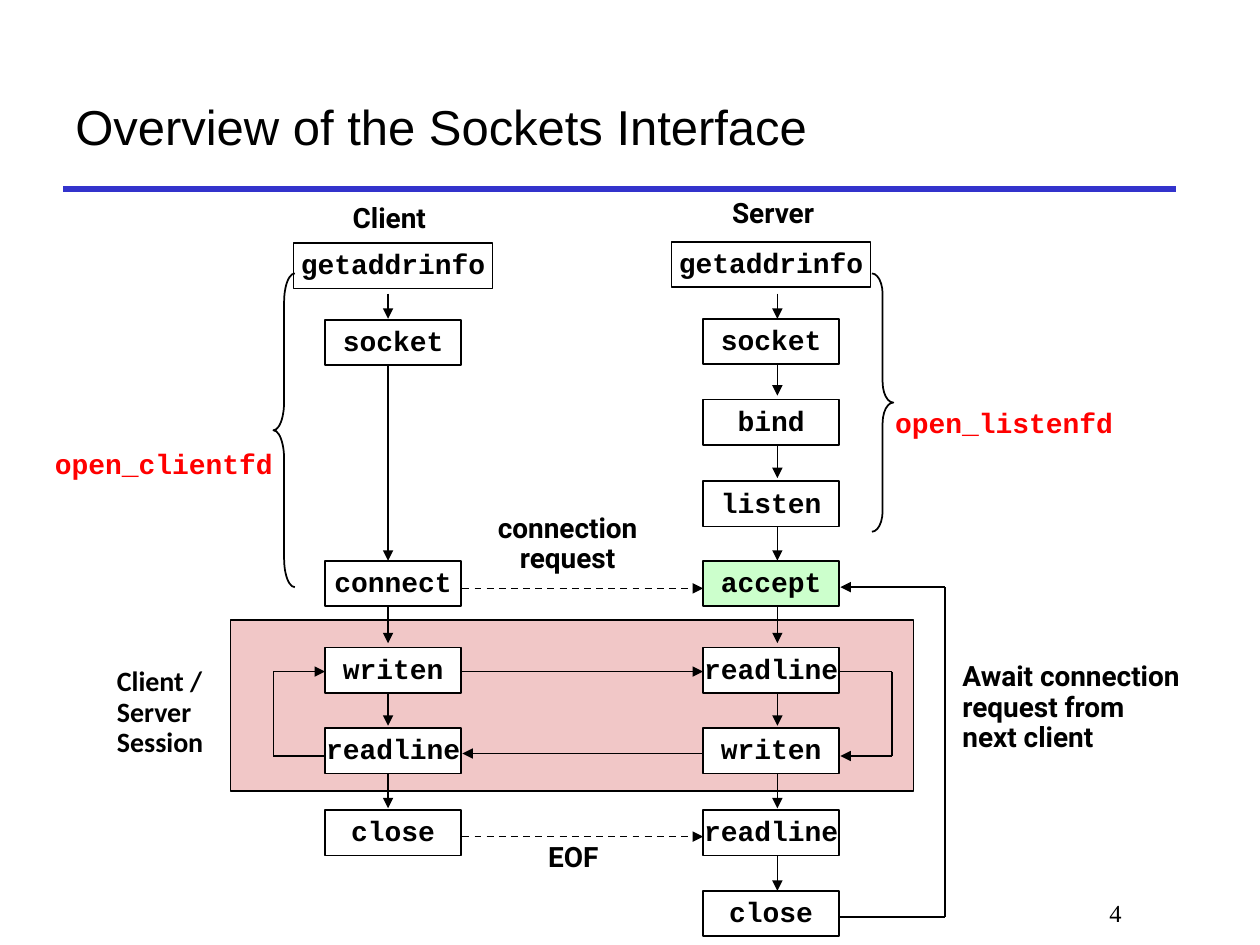
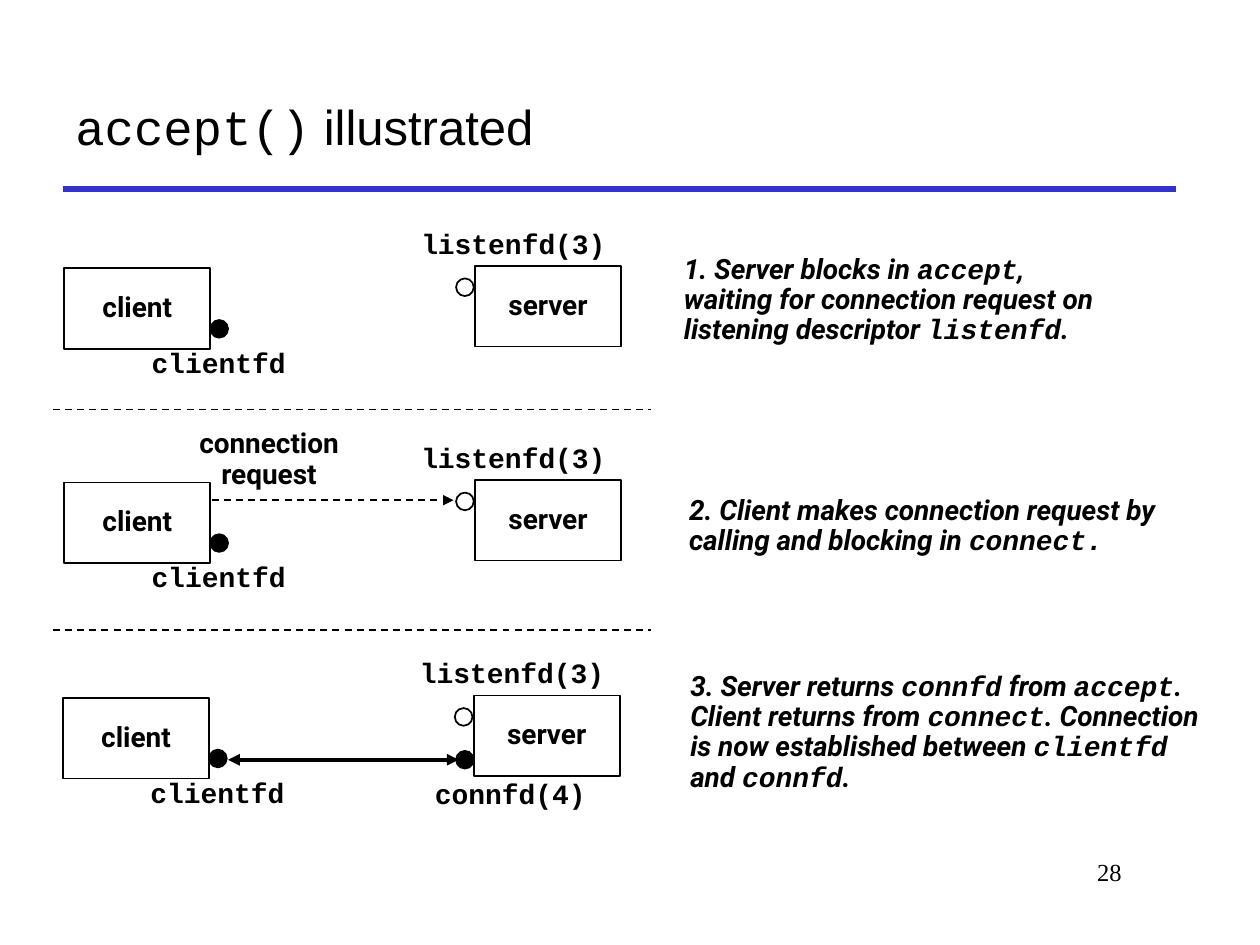
"""Build two slides on the sockets interface: its call flow and how accept() works."""

from dataclasses import dataclass
from itertools import pairwise

from lxml.etree import SubElement
from pptx import Presentation
from pptx.dml.color import RGBColor
from pptx.enum.dml import MSO_LINE
from pptx.enum.shapes import MSO_CONNECTOR, MSO_SHAPE
from pptx.enum.text import MSO_ANCHOR, PP_ALIGN
from pptx.oxml.ns import qn
from pptx.slide import Slide
from pptx.text.text import TextFrame
from pptx.util import Inches, Pt

COLORS = {
    "black": "000000",
    "white": "FFFFFF",
    "rule": "3333CC",
    "session": "F1C7C7",
    "accept": "CCFFCC",
    "wrapper": "FF0000",
}
BODY_FONT, CODE_FONT = "Roboto", "Courier New"
STEP_WIDTH, STEP_HEIGHT = 1.08, 0.36
CLIENT_LEFT, SERVER_LEFT = 2.58, 5.58
CLIENT_AXIS, SERVER_AXIS = 3.08, 6.17
CLIENT_EDGE, SERVER_EDGE = 3.67, 6.67
FLOW_TOP, FLOW_PITCH, FLOW_LENGTH = 2.85, 0.655, 0.29


@dataclass(frozen=True)
class TextStyle:
    """Look of a text; parts between backticks take the code font."""

    size: int = 16
    font: str = BODY_FONT
    color: str = "black"
    bold: bool = True
    italic: bool = False
    align: PP_ALIGN = PP_ALIGN.CENTER
    spacing: float = 0.9
    anchor: MSO_ANCHOR = MSO_ANCHOR.MIDDLE
    wrap: bool = False


LABEL = TextStyle()
TITLE = TextStyle(28, "Arial", bold=False, align=PP_ALIGN.LEFT, spacing=1, wrap=True)
PAGE_NUMBER = TextStyle(14, "Times New Roman", bold=False, align=PP_ALIGN.RIGHT,
                        spacing=1, anchor=MSO_ANCHOR.TOP, wrap=True)
WRAPPER = TextStyle(color="wrapper", wrap=True)
SESSION = TextStyle(font="Calibri", align=PP_ALIGN.LEFT, wrap=True)
SIDE_NOTE = TextStyle(align=PP_ALIGN.LEFT)
REMARK = TextStyle(italic=True, align=PP_ALIGN.LEFT, wrap=True)
REMARK_LINES = TextStyle(italic=True, align=PP_ALIGN.LEFT)


@dataclass(frozen=True)
class Label:
    """A free text with its place."""

    text: str
    left: float
    top: float
    width: float
    height: float
    style: TextStyle = LABEL


@dataclass(frozen=True)
class Box:
    """A preset shape with an outline and an optional fill and text."""

    left: float
    top: float
    width: float
    height: float
    text: str = ""
    fill: str | None = "white"
    kind: MSO_SHAPE = MSO_SHAPE.RECTANGLE
    bend: float | None = None


@dataclass(frozen=True)
class Line:
    """A straight line that may be dashed and carry arrowheads."""

    start: tuple[float, float]
    end: tuple[float, float]
    arrow: bool = True
    back_arrow: bool = False
    dashed: bool = False
    weight: float = 1
    color: str = "black"


@dataclass(frozen=True)
class Stage:
    """One stage of accept(), placed by the corner of its client box."""

    left: float
    top: float


def rgb(name: str) -> RGBColor:
    """Return a named colour."""
    return RGBColor.from_string(COLORS[name])


def write(frame: TextFrame, text: str, style: TextStyle) -> None:
    """Fill a text frame, one paragraph per line."""
    frame.word_wrap = style.wrap
    frame.vertical_anchor = style.anchor
    for index, content in enumerate(text.split("\n")):
        para = frame.add_paragraph() if index else frame.paragraphs[0]
        para.alignment = style.align
        para.line_spacing = style.spacing
        para.font.size = Pt(style.size)
        para.font.bold = style.bold
        para.font.italic = style.italic
        para.font.color.rgb = rgb(style.color)
        for position, part in enumerate(content.split("`")):
            if part:
                span = para.add_run()
                span.text = part
                span.font.name = CODE_FONT if position % 2 else style.font


def draw_label(page: Slide, label: Label) -> None:
    """Add a text box."""
    shape = page.shapes.add_textbox(Inches(label.left), Inches(label.top),
                                    Inches(label.width), Inches(label.height))
    write(shape.text_frame, label.text, label.style)


def draw_box(page: Slide, box: Box) -> None:
    """Add a preset shape."""
    shape = page.shapes.add_shape(box.kind, Inches(box.left), Inches(box.top),
                                  Inches(box.width), Inches(box.height))
    shape.shadow.inherit = False
    shape.line.color.rgb = rgb("black")
    shape.line.width = Pt(1)
    if box.fill:
        shape.fill.solid()
        shape.fill.fore_color.rgb = rgb(box.fill)
    else:
        shape.fill.background()
    if box.bend is not None:
        shape.adjustments[0] = box.bend
    if box.text:
        write(shape.text_frame, box.text, LABEL)


def draw_line(page: Slide, line: Line) -> None:
    """Add a connector."""
    ends = [Inches(value) for value in (*line.start, *line.end)]
    connector = page.shapes.add_connector(MSO_CONNECTOR.STRAIGHT, *ends)
    connector.line.color.rgb = rgb(line.color)
    connector.line.width = Pt(line.weight)
    if line.dashed:
        connector.line.dash_style = MSO_LINE.DASH
    properties = connector._element.spPr
    outline = properties.find(qn("a:ln"))
    for tag, wanted in (("a:headEnd", line.back_arrow), ("a:tailEnd", line.arrow)):
        if wanted:
            SubElement(outline, qn(tag), type="triangle")
    SubElement(properties, qn("a:effectLst"))


def draw_route(page: Slide, *points: tuple[float, float]) -> None:
    """Join points by lines, with an arrowhead on the last one."""
    for start, end in pairwise(points):
        draw_line(page, Line(start, end, arrow=end == points[-1]))


def add_page(deck: Presentation, title: str, number: int, number_top: float) -> Slide:
    """Add a slide with the shared title, rule and page number."""
    page = deck.slides.add_slide(deck.slide_layouts[6])
    draw_line(page, Line((0.5, 1.5), (9.33, 1.5), arrow=False, weight=3, color="rule"))
    draw_label(page, Label(title, 0.5, 0.5, 8.83, 1, TITLE))
    draw_label(page, Label(str(number), 7.58, number_top, 1.42, 0.5, PAGE_NUMBER))
    return page


def draw_overview(deck: Presentation) -> None:
    """Draw the client and server call sequences."""
    page = add_page(deck, "Overview of the Sockets Interface", 4, 7.08)
    draw_box(page, Box(1.83, 4.92, 5.42, 1.36, fill="session"))
    draw_route(page, (SERVER_EDGE, 5.33), (7.08, 5.33), (7.08, 6), (SERVER_EDGE, 6))
    draw_route(page, (CLIENT_LEFT, 6), (2.17, 6), (2.17, 5.33), (CLIENT_LEFT, 5.33))
    draw_route(page, (SERVER_EDGE, 7.28), (7.5, 7.28), (7.5, 4.66), (SERVER_EDGE, 4.66))

    draw_line(page, Line((CLIENT_AXIS, FLOW_TOP), (CLIENT_AXIS, 4.45)))
    for axis, rows in ((CLIENT_AXIS, range(3, 6)), (SERVER_AXIS, range(7))):
        draw_line(page, Line((axis, 2.33), (axis, 2.53)))
        for row in rows:
            top = FLOW_TOP + row * FLOW_PITCH
            draw_line(page, Line((axis, top), (axis, top + FLOW_LENGTH)))
    for height, dashed in ((4.67, True), (5.33, False), (6.64, True)):
        draw_line(page, Line((CLIENT_EDGE, height), (SERVER_LEFT, height), dashed=dashed))
    draw_line(page, Line((SERVER_LEFT, 5.98), (CLIENT_EDGE, 5.98)))

    client_steps = {2.54: "socket", 4.45: "connect", 5.14: "writen",
                    5.78: "readline", 6.43: "close"}
    server_steps = {2.53: "socket", 3.17: "bind", 3.82: "listen", 4.45: "accept",
                    5.14: "readline", 5.78: "writen", 6.43: "readline", 7.07: "close"}
    for left, steps in ((CLIENT_LEFT, client_steps), (SERVER_LEFT, server_steps)):
        for top, call in steps.items():
            fill = "accept" if call == "accept" else "white"
            draw_box(page, Box(left, top, STEP_WIDTH, STEP_HEIGHT, f"`{call}`", fill))
    for left, top in ((2.33, 1.93), (5.33, 1.92)):
        draw_box(page, Box(left, top, 1.58, STEP_HEIGHT, "`getaddrinfo`"))

    draw_box(page, Box(2.17, 2.17, 0.17, 2.49, fill=None,
                       kind=MSO_SHAPE.LEFT_BRACE, bend=1.33))
    draw_box(page, Box(6.92, 2.17, 0.17, 2.05, fill=None,
                       kind=MSO_SHAPE.RIGHT_BRACE, bend=0.96))
    for label in (
        Label("Client", 2.68, 1.56, 0.82, 0.37),
        Label("Server", 5.69, 1.52, 0.89, 0.37),
        Label("`open_clientfd`", 0.33, 3.51, 1.94, 0.37, WRAPPER),
        Label("`open_listenfd`", 7, 3.18, 1.94, 0.37, WRAPPER),
        Label("connection\nrequest", 3.81, 4, 1.39, 0.64),
        Label("EOF", 4.22, 6.63, 0.66, 0.37),
        Label("Client / Server\nSession", 0.83, 5.21, 0.92, 0.9, SESSION),
        Label("Await connection\nrequest from\nnext client", 7.54, 5.17, 2.05, 0.9, SIDE_NOTE),
    ):
        draw_label(page, label)


def draw_descriptor(page: Slide, left: float, top: float, fill: str) -> None:
    """Draw a descriptor as a small circle."""
    draw_box(page, Box(left, top, 0.14, 0.14, fill=fill, kind=MSO_SHAPE.OVAL))


def draw_stage(page: Slide, stage: Stage) -> None:
    """Draw the client, the server and the descriptors of one stage."""
    left, top = stage.left, stage.top
    draw_descriptor(page, left + 3.11, top + 0.08, "white")
    draw_descriptor(page, left + 1.16, top + 0.41, "black")
    draw_box(page, Box(left, top, 1.16, 0.64, "client"))
    draw_box(page, Box(left + 3.26, top - 0.02, 1.16, 0.64, "server"))
    draw_label(page, Label("`listenfd(3)`", left + 2.73, top - 0.37, 1.67, 0.37))
    draw_label(page, Label("`clientfd`", left + 0.59, top + 0.58, 1.27, 0.37))


def draw_accept(deck: Presentation) -> None:
    """Draw the three stages of accept()."""
    page = add_page(deck, "`accept()` illustrated", 28, 6.75)
    for stage in (Stage(0.51, 2.13), Stage(0.51, 3.83), Stage(0.5, 5.54)):
        draw_stage(page, stage)
    for height in (3.25, 5):
        draw_line(page, Line((0.42, height), (5.17, height), arrow=False, dashed=True))
    draw_line(page, Line((1.68, 3.97), (3.6, 3.97), dashed=True))
    draw_descriptor(page, 3.62, 5.96, "black")
    draw_line(page, Line((1.81, 6.03), (3.64, 6.03), back_arrow=True, weight=2.25))
    for label in (
        Label("connection\nrequest", 1.44, 3.33, 1.39, 0.64),
        Label("`connfd(4)`", 3.35, 6.13, 1.4, 0.37),
        Label("1. Server blocks in `accept`, waiting for connection request on "
              "listening descriptor `listenfd`.", 5.33, 1.8, 3.6, 1.17, REMARK),
        Label("2. Client makes connection request by\n"
              "calling and blocking in `connect.`", 5.37, 3.86, 4.25, 0.64, REMARK_LINES),
        Label("3. Server returns `connfd` from `accept`.\n"
              "Client returns from `connect`. Connection is now established between "
              "`clientfd` and `connfd`.", 5.38, 5.23, 4.39, 1.17, REMARK),
    ):
        draw_label(page, label)


def main() -> None:
    """Build and save the deck."""
    deck = Presentation()
    deck.slide_width, deck.slide_height = Inches(10), Inches(7.5)
    draw_overview(deck)
    draw_accept(deck)
    deck.save("out.pptx")


if __name__ == "__main__":
    main()
